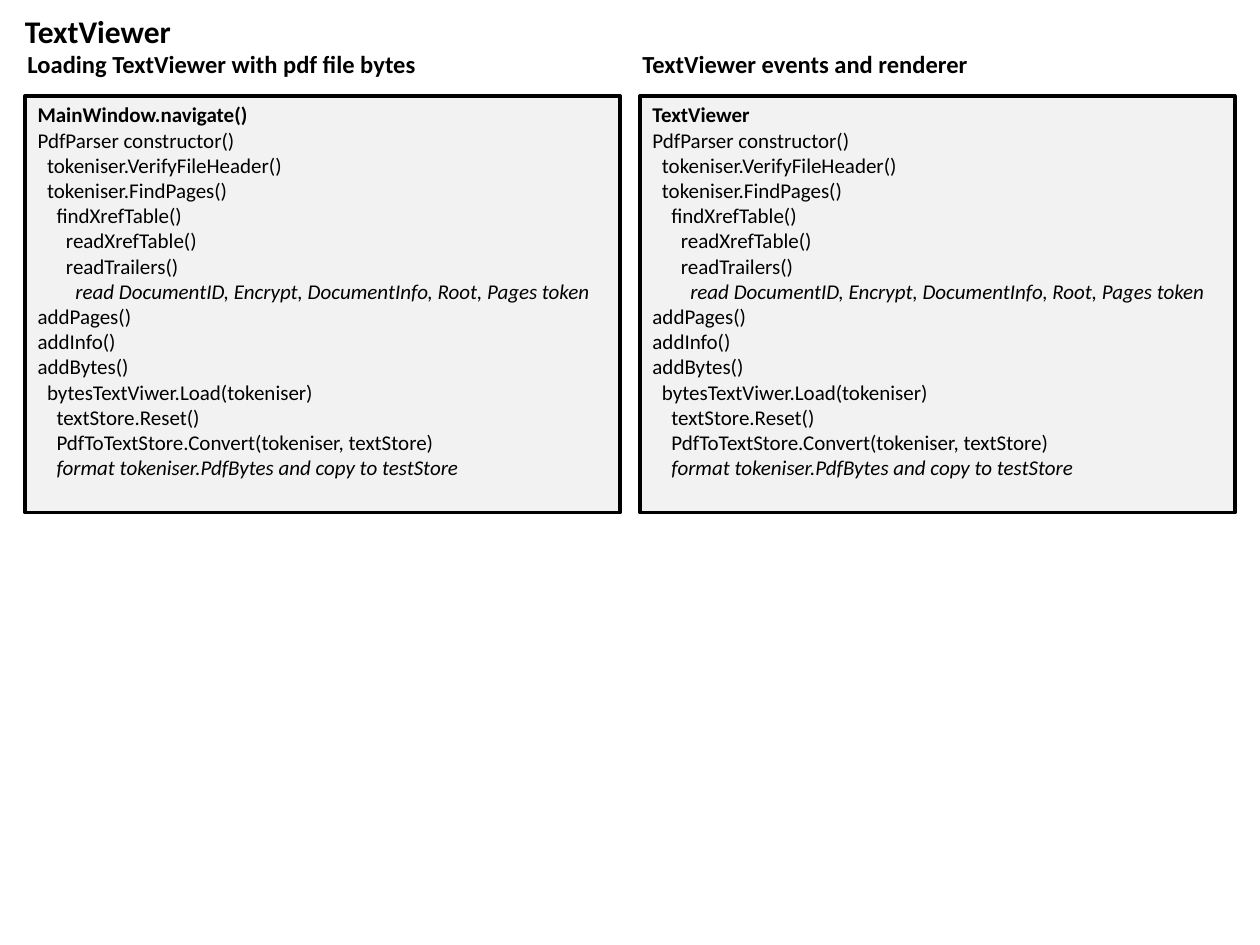
from dataclasses import dataclass

from pptx import Presentation
from pptx.dml.color import RGBColor
from pptx.enum.shapes import MSO_SHAPE
from pptx.enum.text import MSO_ANCHOR, MSO_AUTO_SIZE, PP_ALIGN
from pptx.util import Pt

RECT = MSO_SHAPE.RECTANGLE
TOP = MSO_ANCHOR.TOP
LEFT = PP_ALIGN.LEFT
GROW = MSO_AUTO_SIZE.SHAPE_TO_FIT_TEXT

PX = 9144  # EMU per px, 100 px to the inch


@dataclass(frozen=True)
class Theme:
    font: str = "Calibri"
    ink: RGBColor = RGBColor(0x00, 0x00, 0x00)
    panel: RGBColor = RGBColor(0xF2, 0xF2, 0xF2)
    title: int = 18
    heading: int = 14
    body: int = 12
    border: int = 2
    indent: float = 5.4


# (indent level, text, italic)
CALLS = [
    (0, "PdfParser constructor()", False),
    (1, "tokeniser.VerifyFileHeader()", False),
    (1, "tokeniser.FindPages()", False),
    (2, "findXrefTable()", False),
    (3, "readXrefTable()", False),
    (3, "readTrailers()", False),
    (4, "read DocumentID, Encrypt, DocumentInfo, Root, Pages token", True),
    (0, "addPages()", False),
    (0, "addInfo()", False),
    (0, "addBytes()", False),
    (1, "bytesTextViwer.Load(tokeniser)", False),
    (2, "textStore.Reset()", False),
    (2, "PdfToTextStore.Convert(tokeniser, textStore)", False),
    (2, "format tokeniser.PdfBytes and copy to testStore", True),
]

# panel left, heading left, heading width, heading, caller
COLUMNS = [
    (20, 12, 330, "Loading TextViewer with pdf file bytes", "MainWindow.navigate()"),
    (508, 500, 282, "TextViewer events and renderer", "TextViewer"),
]


class SlideBuilder:
    """Draws styled elements on the current slide."""

    def __init__(self, s, theme):
        self.s = s
        self.theme = theme

    def set_text(self, p, text, size, bold=False, italic=False):
        p.text = text
        p.alignment = LEFT
        font = p.runs[0].font
        font.name = self.theme.font
        font.size = Pt(size)
        font.bold = bold
        font.italic = italic
        font.color.rgb = self.theme.ink

    def label(self, x, y, w, h, text, size):
        tf = self.s.shapes.add_textbox(x * PX, y * PX, w * PX, h * PX).text_frame
        tf.word_wrap = False
        tf.auto_size = GROW
        self.set_text(tf.paragraphs[0], text, size, bold=True)

    def call_panel(self, x, y, w, h, caller, calls):
        """Bordered box with a bold caller above its indented call tree."""
        sp = self.s.shapes.add_shape(RECT, x * PX, y * PX, w * PX, h * PX)
        sp.shadow.inherit = False
        sp.fill.solid()
        sp.fill.fore_color.rgb = self.theme.panel
        sp.line.color.rgb = self.theme.ink
        sp.line.width = Pt(self.theme.border)
        tf = sp.text_frame
        tf.word_wrap = True
        tf.vertical_anchor = TOP
        self.set_text(tf.paragraphs[0], caller, self.theme.body, bold=True)
        for level, text, italic in calls:
            p = tf.add_paragraph()
            self.set_text(p, text, self.theme.body, italic=italic)
            pPr = p._p.get_or_add_pPr()
            pPr.set("marL", str(Pt(level * self.theme.indent)))
            pPr.set("indent", "0")


def main():
    prs = Presentation()
    prs.slide_width = 1000 * PX
    prs.slide_height = 750 * PX
    theme = Theme()
    slide = SlideBuilder(prs.slides.add_slide(prs.slide_layouts[6]), theme)

    slide.label(10, 5, 137, 40, "TextViewer", theme.title)
    for panel_x, heading_x, heading_w, heading, caller in COLUMNS:
        slide.call_panel(panel_x, 76, 472, 331, caller, CALLS)
        slide.label(heading_x, 34, heading_w, 34, heading, theme.heading)

    prs.save("out.pptx")


if __name__ == "__main__":
    main()
